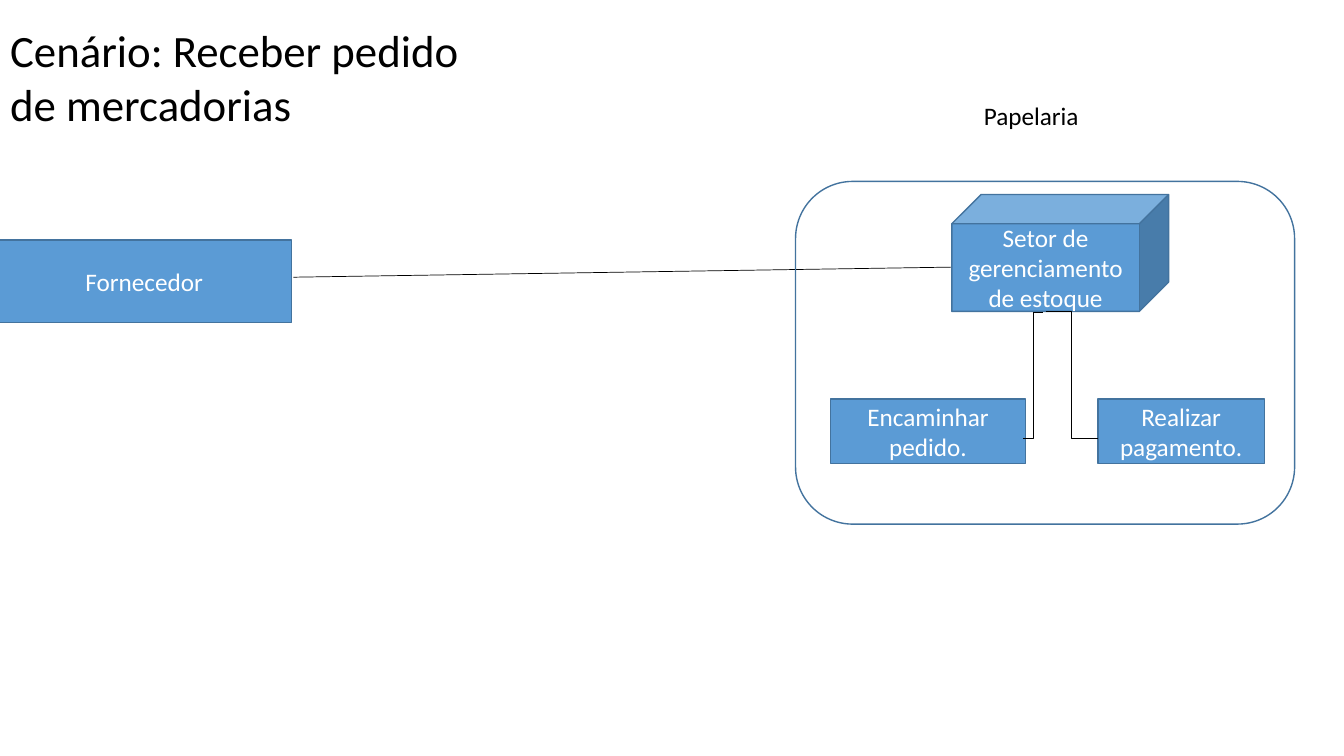
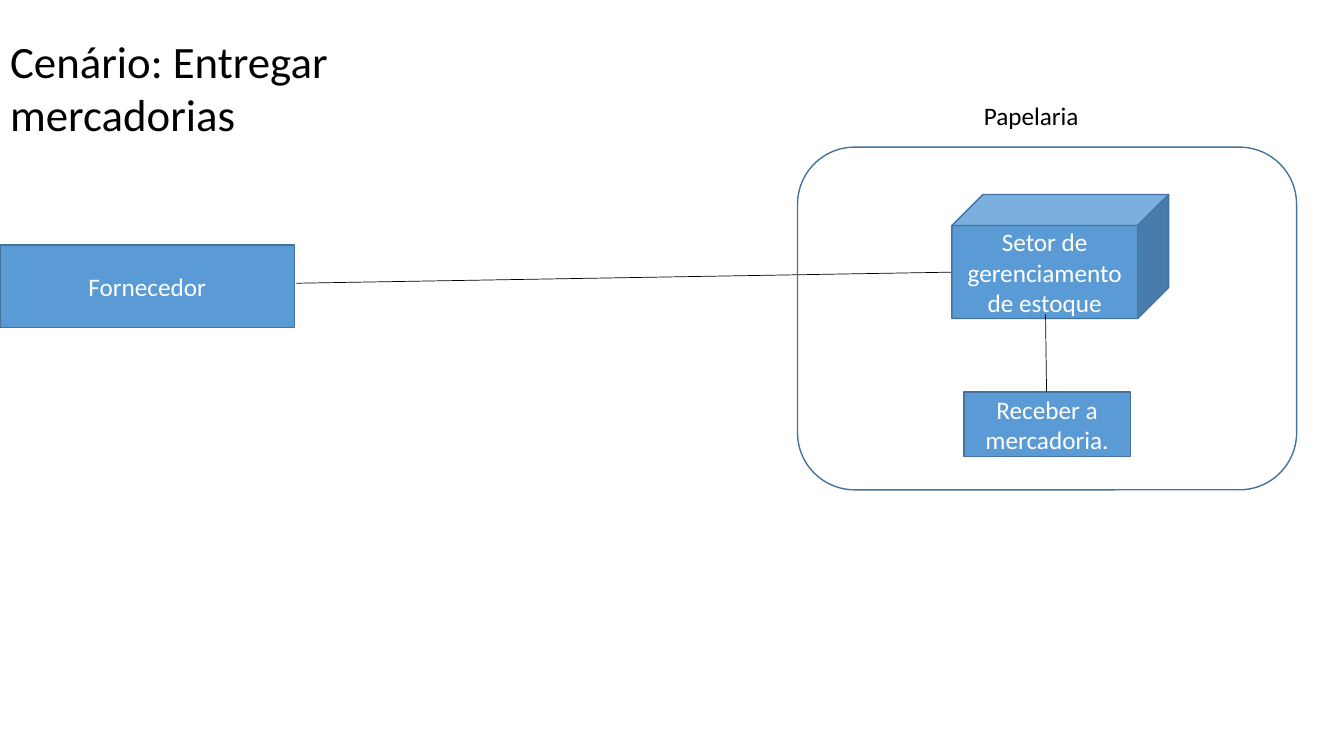
from pptx import Presentation
from pptx.dml.color import RGBColor
from pptx.enum.shapes import MSO_CONNECTOR, MSO_SHAPE
from pptx.enum.text import MSO_ANCHOR, MSO_AUTO_SIZE, PP_ALIGN
from pptx.oxml.ns import qn
from pptx.util import Inches, Pt
from lxml import etree

RECT, ROUND, CUBE = MSO_SHAPE.RECTANGLE, MSO_SHAPE.ROUNDED_RECTANGLE, MSO_SHAPE.CUBE
LINE, ELBOW = MSO_CONNECTOR.STRAIGHT, MSO_CONNECTOR.ELBOW
TOP, MIDDLE = MSO_ANCHOR.TOP, MSO_ANCHOR.MIDDLE
LEFT, CENTER = PP_ALIGN.LEFT, PP_ALIGN.CENTER
FIXED = MSO_AUTO_SIZE.NONE

FONT = "Calibri"
BLUE, EDGE, BLACK, WHITE = "5B9BD5", "43739E", "000000", "FFFFFF"


def paint(color, code):
    color.rgb = RGBColor.from_string(code)


def write(shape, text, size, code, align, anchor):
    frame = shape.text_frame
    frame.text = text
    frame.word_wrap = True
    frame.auto_size = FIXED
    frame.vertical_anchor = anchor
    for par in frame.paragraphs:
        par.alignment = align
        for run in par.runs:
            run.font.name = FONT
            run.font.size = Pt(size)
            paint(run.font.color, code)


def add_title(slide, text, top, width):
    title = slide.shapes.title
    title.left, title.top = Inches(0), Inches(top)
    title.width, title.height = Inches(width), Inches(1.18)
    write(title, text, 32, BLACK, LEFT, TOP)


def add_label(slide, text, left, top, width, height):
    box = slide.shapes.add_textbox(*map(Inches, (left, top, width, height)))
    write(box, text, 18, BLACK, LEFT, TOP)


def add_box(slide, kind, left, top, width, height, text=""):
    """Add an outlined shape, filled blue only if it holds text."""
    box = slide.shapes.add_shape(kind, *map(Inches, (left, top, width, height)))
    box.shadow.inherit = False
    paint(box.line.color, EDGE)
    box.line.width = Pt(1)
    if text:
        box.fill.solid()
        paint(box.fill.fore_color, BLUE)
        write(box, text, 18, WHITE, CENTER, MIDDLE)
    else:
        box.fill.background()


def add_link(slide, kind, *ends):
    link = slide.shapes.add_connector(kind, *map(Inches, ends))
    paint(link.line.color, BLACK)
    link.line.width = Pt(0.5)
    etree.SubElement(link._element.spPr, qn("a:effectLst"))


def add_scene(deck, title, top, width, vendor, link, frame, depth):
    """Add a slide with the supplier, the shop and its stock sector."""
    slide = deck.slides.add_slide(deck.slide_layouts[5])
    add_title(slide, title, top, width)
    add_box(slide, RECT, *vendor, 2.92, 0.82, "Fornecedor")
    add_link(slide, LINE, *link)
    add_box(slide, ROUND, *frame, 4.95, 3.4)
    add_label(slide, "Papelaria", 9.66, 0.95, 1.4, 0.4)
    add_box(slide, CUBE, 9.44, 1.93, 2.15, depth,
            "Setor de gerenciamento de estoque")
    return slide


def add_task(slide, text, left, top, width=1.65):
    add_box(slide, RECT, left, top, width, 0.64, text)


def main():
    deck = Presentation()
    deck.slide_width, deck.slide_height = Inches(13.33), Inches(7.5)

    order = add_scene(deck, "Cenário: Receber pedido\nde mercadorias", 0.18, 5.27,
                      vendor=(-0.03, 2.38), link=(2.91, 2.75, 9.44, 2.65),
                      frame=(7.89, 1.8), depth=1.16)
    add_task(order, "Encaminhar pedido.", 8.24, 3.96, 1.93)
    add_task(order, "Realizar pagamento.", 10.89, 3.96)
    add_link(order, ELBOW, 10.34, 3.1, 10.15, 4.35)
    add_link(order, ELBOW, 10.37, 3.09, 10.89, 4.35)

    supply = add_scene(deck, "Cenário: Entregar mercadorias", 0.28, 4.26,
                       vendor=(0, 2.43), link=(2.94, 2.81, 9.44, 2.7),
                       frame=(7.91, 1.46), depth=1.23)
    add_task(supply, "Receber a mercadoria.", 9.56, 3.89)
    add_link(supply, LINE, 10.37, 3.12, 10.38, 3.89)

    deck.save("out.pptx")


if __name__ == "__main__":
    main()
